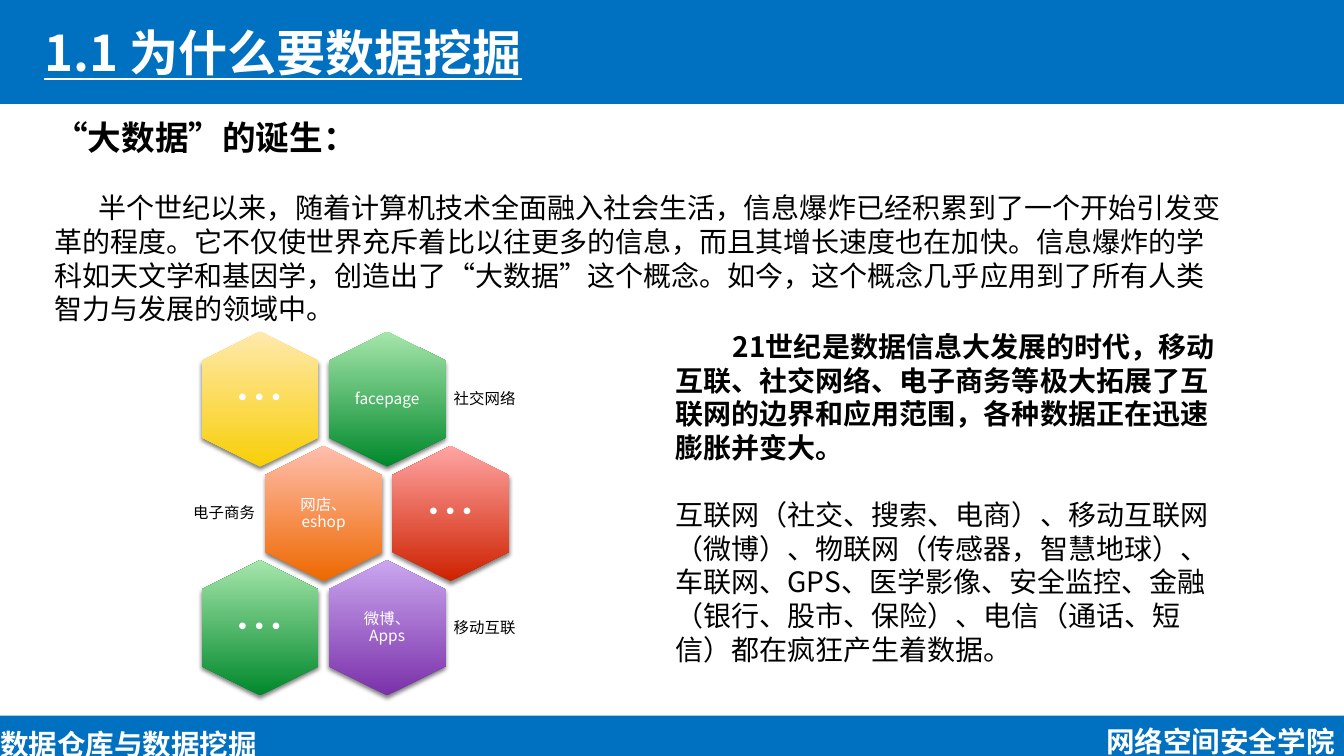
from lxml import etree
from pptx import Presentation
from pptx.dml.color import RGBColor
from pptx.enum.shapes import MSO_SHAPE as Kind
from pptx.enum.text import MSO_ANCHOR as Anchor, MSO_AUTO_SIZE as Auto, PP_ALIGN as Align
from pptx.oxml import parse_xml
from pptx.oxml.ns import nsdecls, qn
from pptx.util import Inches, Pt

FONT = "Noto Sans CJK SC"
BLUE, WHITE, BLACK = "0070C0", "FFFFFF", "000000"
GREEN, GOLD = ("00882B", "A6E6AB"), ("F8CF07", "FFE9AD")
ORANGE, RED, PURPLE = ("EE6800", "FFBEAD"), ("CE2100", "FFA5A3"), ("7A31A9", "CAA6EF")

# Each row: horizontal shift, hexagons as (text, shades), side label, label on the left
ROWS = [
    (0, [("…", GOLD), ("facepage", GREEN)], "社交网络", False),
    (0.63, [("网店、eshop", ORANGE), ("…", RED)], "电子商务", True),
    (0, [("…", GREEN), ("微博、Apps", PURPLE)], "移动互联", False),
]


def color(code):
    return RGBColor.from_string(code)


def style(para, size, shade, bold=False, line=None):
    para.line_spacing = Pt(line) if line else None
    for run in para.runs:
        font = run.font
        font.size, font.bold, font.name = Pt(size), bold, FONT
        font.color.rgb = color(shade)
        etree.SubElement(font._element, qn("a:ea"), typeface=FONT)


def setup(frame, inset, anchor):
    frame.word_wrap, frame.auto_size = True, Auto.NONE
    frame.vertical_anchor = anchor
    frame.margin_left = frame.margin_right = Inches(inset)
    frame.margin_top = frame.margin_bottom = Inches(inset)


def label(slide, box, text, size, shade, align=Align.LEFT, inset=0, bold=False, line=None):
    frame = slide.shapes.add_textbox(*map(Inches, box)).text_frame
    setup(frame, inset, Anchor.MIDDLE)
    frame.text = text
    para = frame.paragraphs[0]
    para.alignment = align
    style(para, size, shade, bold, line)


def band(slide, box):
    bar = slide.shapes.add_shape(Kind.RECTANGLE, *map(Inches, box))
    bar.shadow.inherit = False
    bar.fill.solid()
    bar.fill.fore_color.rgb = color(BLUE)
    bar.line.fill.background()


def header(slide, box):
    left, top, width, height = box
    band(slide, box)
    title = slide.shapes.title
    slide.shapes._spTree.append(title._element)  # bring in front of the band
    title.left, title.top = Inches(left + 0.44), Inches(top + 0.12)
    title.width, title.height = Inches(8.74), Inches(height - 0.22)
    frame = title.text_frame
    setup(frame, 0, Anchor.MIDDLE)
    frame.text = "1.1 为什么要数据挖掘"
    para = frame.paragraphs[0]
    para.alignment = Align.LEFT
    style(para, 35.1, WHITE, True)
    para.runs[0].font.underline = True


def footer(slide, box):
    left, top, width, height = box
    band(slide, box)
    label(slide, (left + width - 2.36, top + 0.11, 2.36, 0.29), "网络空间安全学院", 20.4, WHITE, bold=True)
    label(slide, (left, top + 0.14, 2.58, 0.29), "数据仓库与数据挖掘", 20.4, WHITE, bold=True)


def prose(slide, box, parts):
    """Stack paragraphs given as (text, size, bold, first-line indent)."""
    frame = slide.shapes.add_textbox(*map(Inches, box)).text_frame
    setup(frame, 0.05, Anchor.TOP)
    frame.margin_left = frame.margin_right = Inches(0.1)
    for i, (text, size, bold, indent) in enumerate(parts):
        para = frame.add_paragraph() if i else frame.paragraphs[0]
        para.text = text
        style(para, size, BLACK, bold, size * 1.2)
        para.space_before = Pt(24 if i else 0)
        props = para._p.get_or_add_pPr()
        props.set("marL", "0")
        props.set("indent", str(Inches(indent)))


def cell(slide, left, top, text, shades):
    hexa = slide.shapes.add_shape(Kind.HEXAGON, *map(Inches, (left, top, 1.34, 1.16)))
    hexa.rotation = 90
    hexa.adjustments[0] = 0.25
    hexa.line.fill.background()
    hexa.fill.gradient()
    hexa.fill.gradient_angle = 90
    for stop, shade, spot in zip(hexa.fill.gradient_stops, shades, (0, 1)):
        stop.color.rgb, stop.position = color(shade), spot
    props = hexa._element.spPr
    props.find(qn("a:gradFill")).set("rotWithShape", "0")
    props.append(parse_xml(
        f'<a:effectLst {nsdecls("a")}><a:outerShdw blurRad="{Pt(3)}" dist="{Pt(2)}" '
        'dir="5400000" rotWithShape="0"><a:srgbClr val="000000"><a:alpha val="50000"/>'
        '</a:srgbClr></a:outerShdw></a:effectLst>'))
    dots = text == "…"
    label(slide, (left + 0.27, top + 0.12, 0.8, 0.92), text, 36 if dots else 11, WHITE,
          Align.CENTER, 0 if dots else 0.05, line=39 if dots else 12)


def comb(slide, box):
    """Honeycomb of three staggered rows, each with a label at one side."""
    left, top, width, height = box
    across, down = 1.26, (height - 1.16) / 2
    for i, (shift, cells, name, before) in enumerate(ROWS):
        x, y = left + shift, top + i * down
        for j, (text, shades) in enumerate(cells):
            cell(slide, x + j * across, y, text, shades)
        start, wide = (x - 1.4, 1.44) if before else (x + across + 1.28, 1.49)
        label(slide, (start, y + 0.18, wide, 0.8), name, 11, BLACK,
              Align.RIGHT if before else Align.LEFT, 0.05, line=12)


def main():
    deck = Presentation()
    deck.slide_width, deck.slide_height = Inches(13.33), Inches(7.5)
    slide = deck.slides.add_slide(deck.slide_layouts[5])
    header(slide, (0, -0.02, 13.33, 1.05))
    footer(slide, (0, 7.1, 13.33, 0.4))
    comb(slide, (1.91, 3.38, 3.23, 3.43))
    prose(slide, (6.6, 3.22, 5.72, 3.47), [
        ("21世纪是数据信息大发展的时代，移动互联、社交网络、电子商务等极大拓展了互联网的边界和应用范围，"
         "各种数据正在迅速膨胀并变大。", 20, True, 0.57),
        ("互联网（社交、搜索、电商）、移动互联网（微博）、物联网（传感器，智慧地球）、车联网、GPS、医学影像、"
         "安全监控、金融（银行、股市、保险）、电信（通话、短信）都在疯狂产生着数据。", 20, False, 0),
    ])
    prose(slide, (0.44, 1.11, 11.88, 2.19), [
        ("“大数据”的诞生：", 24, True, 0),
        ("半个世纪以来，随着计算机技术全面融入社会生活，信息爆炸已经积累到了一个开始引发变革的程度。"
         "它不仅使世界充斥着比以往更多的信息，而且其增长速度也在加快。信息爆炸的学科如天文学和基因学，"
         "创造出了“大数据”这个概念。如今，这个概念几乎应用到了所有人类智力与发展的领域中。", 20, False, 0.44),
    ])
    deck.save("out.pptx")


if __name__ == "__main__":
    main()
